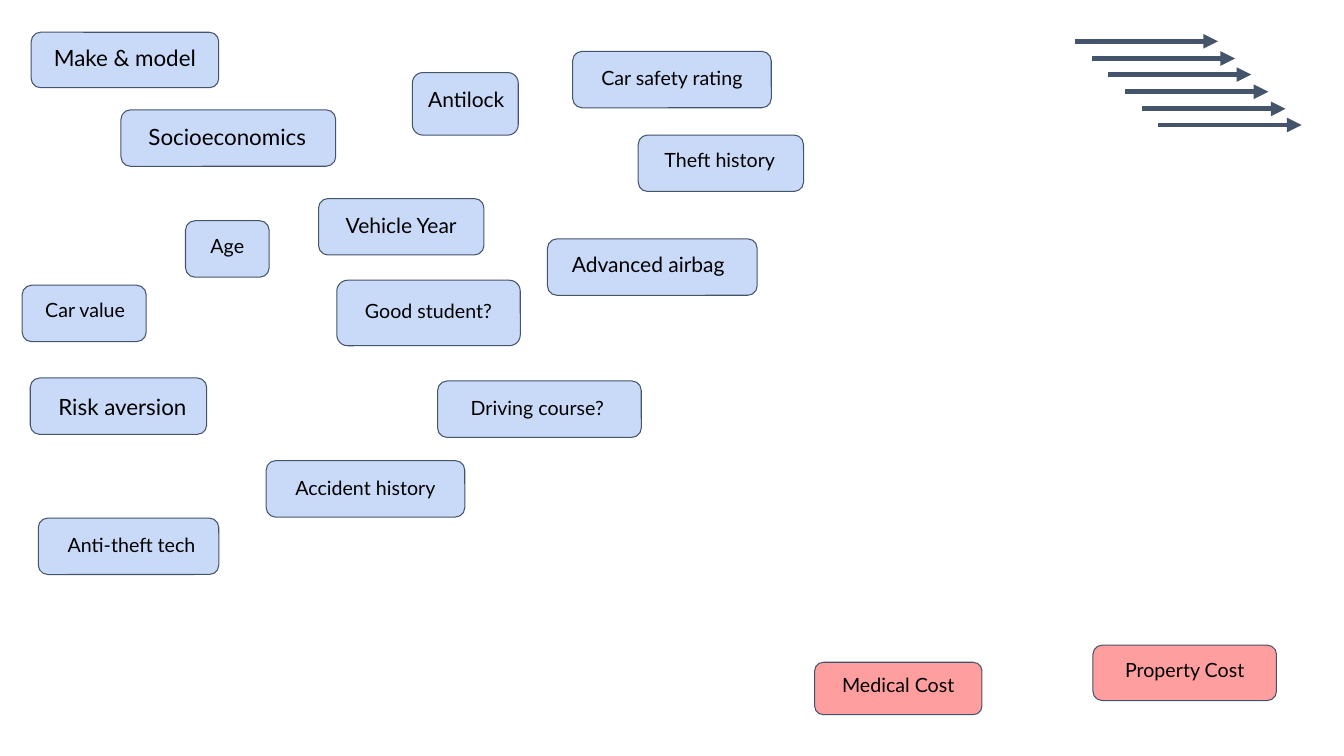
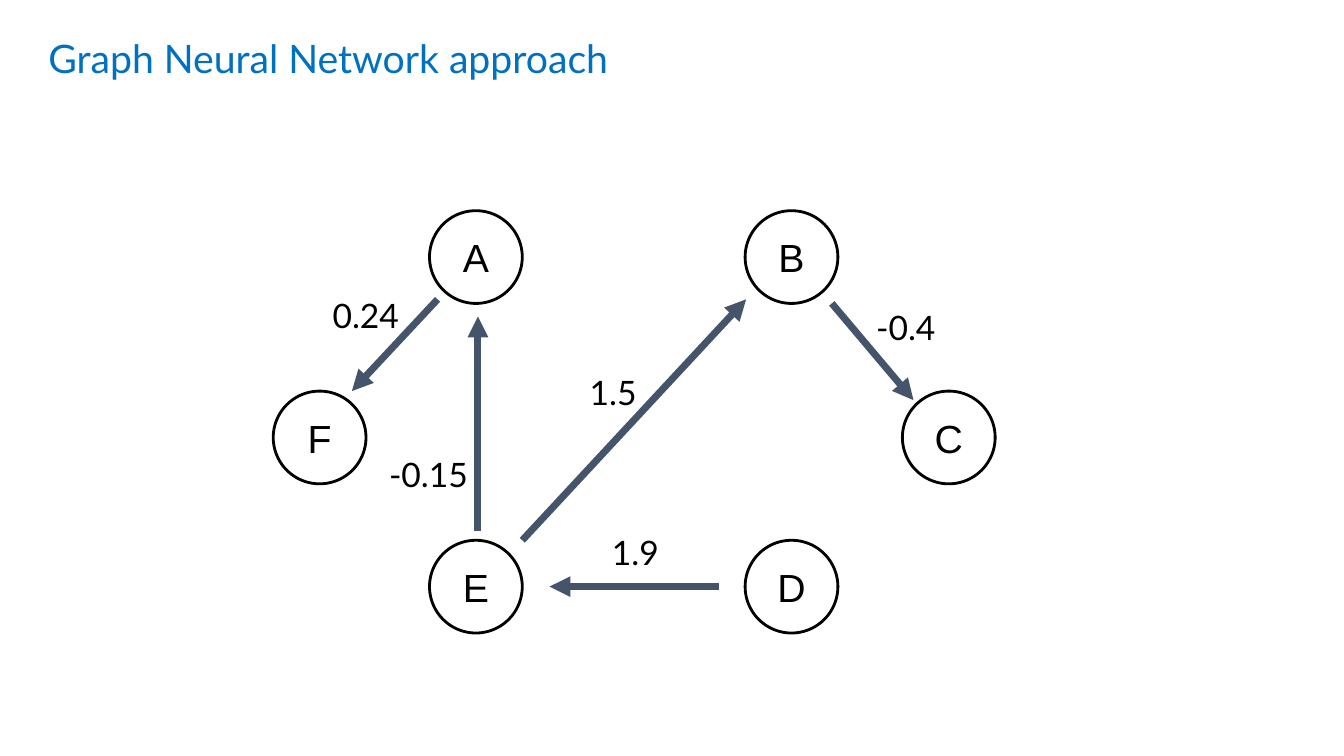
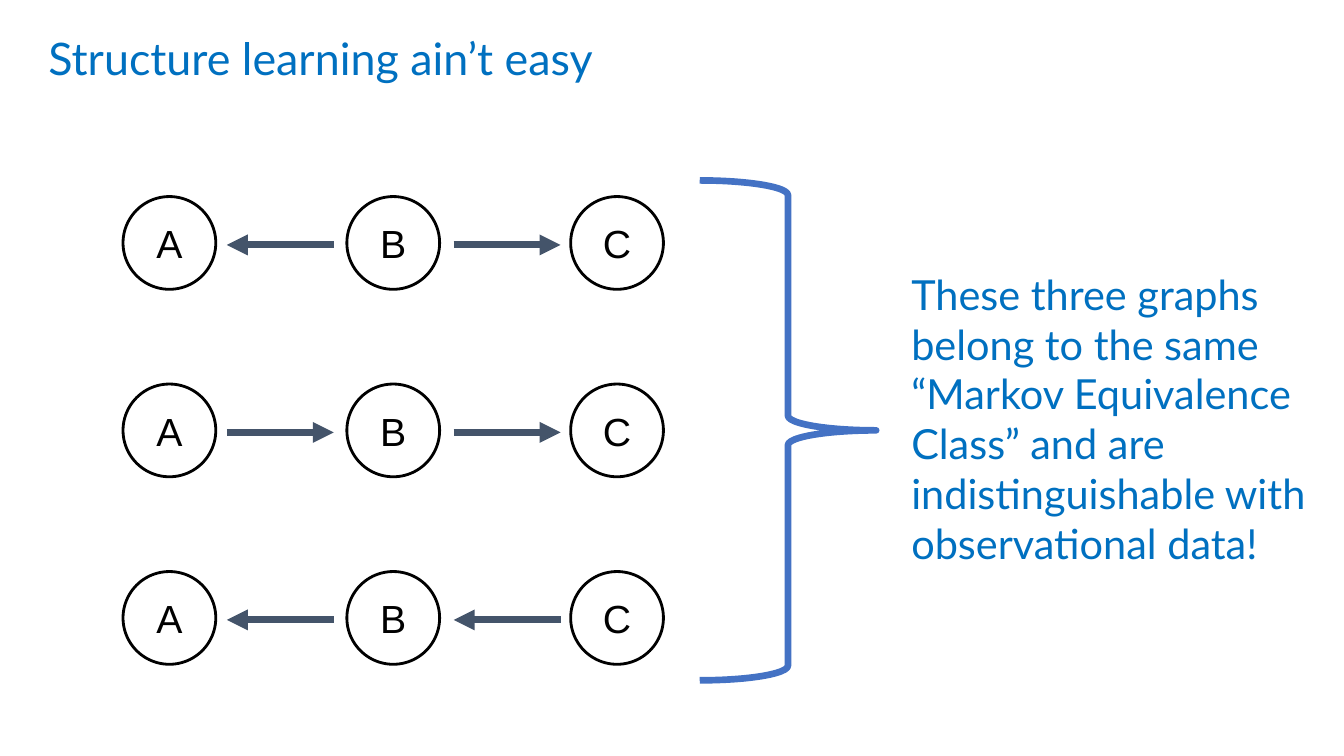
from dataclasses import dataclass

from lxml import etree
from pptx import Presentation
from pptx import util as u
from pptx.dml.color import RGBColor
from pptx.enum import shapes, text
from pptx.oxml import ns

PX = 9144  # EMU per px, 100 px to the inch
COLORS = {
    "feature": "C9DAF8",
    "cost": "FF0000",
    "slate": "44546A",
    "title": "0070C0",
    "brace": "4472C4",
    "ink": "000000",
}
COST_ALPHA = 38
NODE = 92
BLANK, TITLE_ONLY = 6, 5


@dataclass
class Chip:
    label: str
    left: int
    top: int
    width: int
    height: int = 56
    size: int = 14
    dx: int = 0  # label shift from the chip's centre
    dy: int = 0  # label shift from its usual top
    kind: str = "feature"


@dataclass
class Node:
    label: str
    left: int
    top: int


@dataclass
class Arrow:
    x1: int
    y1: int
    x2: int
    y2: int
    weight: float = 5


@dataclass
class EdgeWeight:
    label: str
    left: int
    top: int
    width: int = 95


CHIPS = [
    Chip("Age", 184, 219, 83),
    Chip("Socioeconomics", 120, 109, 213, size=16, dx=-1),
    Chip("Good student?", 334, 278, 182, 65, dy=5),
    Chip("Vehicle Year", 316, 197, 164, size=15, dy=1),
    Chip("Make & model", 31, 32, 186, 55, size=16, dy=-1),
    Chip("Accident history", 264, 457, 197, dy=2),
    Chip("Driving course?", 434, 378, 202, dx=-2, dy=2),
    Chip("Antilock", 409, 72, 105, 62, size=15, dx=1, dy=1),
    Chip("Advanced airbag", 543, 237, 208, size=15, dx=-4),
    Chip("Medical Cost", 808, 657, 166, 52, dy=-2, kind="cost"),
    Chip("Property Cost", 1084, 640, 182, 55, kind="cost"),
    Chip("Car value", 22, 283, 123, dx=1),
    Chip("Risk aversion", 30, 375, 175, size=16, dx=4, dy=2),
    Chip("Anti-theft tech", 38, 514, 179, dx=3, dy=2),
    Chip("Theft history", 633, 134, 164, dx=-1),
    Chip("Car safety rating", 568, 51, 197, dy=2),
]
NETWORK_NODES = [
    Node("A", 426, 209), Node("B", 739, 209), Node("C", 895, 388),
    Node("D", 739, 536), Node("F", 271, 388), Node("E", 426, 536),
]
NETWORK_ARROWS = [
    Arrow(713, 582, 545, 582), Arrow(825, 301, 906, 397),
    Arrow(434, 297, 349, 388), Arrow(518, 536, 740, 297),
    Arrow(474, 527, 474, 314),
]
EDGE_WEIGHTS = [
    EdgeWeight("0.24", 320, 292), EdgeWeight("-0.15", 376, 450, 115),
    EdgeWeight("1.5", 575, 369), EdgeWeight("1.9", 597, 527),
    EdgeWeight("-0.4", 859, 304),
]
# Direction of the A-B and B-C arrows in each row
CHAINS = ["<>", ">>", "<<"]


def px(*lengths: int) -> list:
    return [u.Emu(length * PX) for length in lengths]


def rgb(name: str) -> RGBColor:
    return RGBColor.from_string(COLORS[name])


def style_text(para, size: float, color: str = "ink", face: str = "Lato") -> None:
    para.font.size = u.Pt(size)
    para.font.name = face
    para.font.color.rgb = rgb(color)


def add_outline(page, preset, left: int, top: int, width: int, height: int,
                color: str, weight: float):
    """Add an unfilled, shadowless preset shape."""
    shape = page.shapes.add_shape(preset, *px(left, top, width, height))
    shape.shadow.inherit = False
    shape.fill.background()
    shape.line.color.rgb = rgb(color)
    shape.line.width = u.Pt(weight)
    return shape


def add_chip(page, chip: Chip) -> None:
    shape = add_outline(page, shapes.MSO_SHAPE.ROUNDED_RECTANGLE, chip.left,
                        chip.top, chip.width, chip.height, "slate", 0.75)
    shape.fill.solid()
    shape.fill.fore_color.rgb = rgb(chip.kind)
    if chip.kind == "cost":
        color = shape.fill._xPr.find(".//" + ns.qn("a:srgbClr"))
        etree.SubElement(color, ns.qn("a:alpha"), val=str(COST_ALPHA * 1000))
    frame = shape.text_frame
    frame.word_wrap = True
    frame.vertical_anchor = text.MSO_ANCHOR.TOP
    frame.margin_left, frame.margin_right, frame.margin_top, frame.margin_bottom = px(
        max(0, 2 * chip.dx), max(0, -2 * chip.dx), 10 + chip.dy, 0)
    para = frame.paragraphs[0]
    para.text = chip.label
    para.alignment = text.PP_ALIGN.CENTER
    style_text(para, chip.size)


def add_node(page, node: Node) -> None:
    circle = add_outline(page, shapes.MSO_SHAPE.OVAL, node.left, node.top,
                         NODE, NODE, "ink", 2)
    frame = circle.text_frame
    frame.margin_left = frame.margin_right = frame.margin_top = frame.margin_bottom = 0
    frame.vertical_anchor = text.MSO_ANCHOR.MIDDLE
    para = frame.paragraphs[0]
    para.text = node.label
    para.alignment = text.PP_ALIGN.CENTER
    style_text(para, 28, face="Arial")


def add_arrow(page, arrow: Arrow) -> None:
    line = page.shapes.add_connector(
        shapes.MSO_CONNECTOR.STRAIGHT,
        *px(arrow.x1, arrow.y1, arrow.x2, arrow.y2))
    line.line.color.rgb = rgb("slate")
    line.line.width = u.Pt(arrow.weight)
    outline = line.line._get_or_add_ln()
    etree.SubElement(outline, ns.qn("a:tailEnd"), type="triangle")
    etree.SubElement(line._element.spPr, ns.qn("a:effectLst"))


def add_text(page, words: str, left: int, top: int, width: int, height: int,
             size: float, color: str = "ink"):
    box = page.shapes.add_textbox(*px(left, top, width, height))
    box.text_frame.word_wrap = True
    para = box.text_frame.paragraphs[0]
    para.text = words
    style_text(para, size, color)
    return para


def add_edge_weight(page, label: EdgeWeight) -> None:
    para = add_text(page, label.label, label.left, label.top, label.width, 53, 24)
    para.line_spacing = 0.9
    para.space_before = u.Pt(10)


def add_titled_page(deck, words: str, size: int):
    page = deck.slides.add_slide(deck.slide_layouts[TITLE_ONLY])
    title = page.shapes.title
    title.left, title.top, title.width, title.height = px(38, 19, 1150, 83)
    frame = title.text_frame
    frame.auto_size = text.MSO_AUTO_SIZE.NONE
    frame.vertical_anchor = text.MSO_ANCHOR.MIDDLE
    para = frame.paragraphs[0]
    para.text = words
    para.alignment = text.PP_ALIGN.LEFT
    para.line_spacing = 0.9
    style_text(para, size, "title")
    return page


def build_factors(deck) -> None:
    page = deck.slides.add_slide(deck.slide_layouts[BLANK])
    for chip in CHIPS:
        add_chip(page, chip)
    # Staircase of spare arrows
    for step in range(6):
        shift = round(step * 50 / 3)
        add_arrow(page, Arrow(1066 + shift, 41 + shift, 1208 + shift, 41 + shift, 3.5))


def build_network(deck) -> None:
    page = add_titled_page(deck, "Graph Neural Network approach", 28)
    for node in NETWORK_NODES:
        add_node(page, node)
    for arrow in NETWORK_ARROWS:
        add_arrow(page, arrow)
    for label in EDGE_WEIGHTS:
        add_edge_weight(page, label)


def build_equivalence(deck) -> None:
    page = add_titled_page(deck, "Structure learning ain’t easy", 32)
    # Three chains of three nodes
    for row, directions in enumerate(CHAINS):
        top = 195 + 186 * row
        for column, label in enumerate("ABC"):
            add_node(page, Node(label, 122 + 222 * column, top))
        for gap, direction in enumerate(directions):
            start, end = 225 + 225 * gap, 331 + 225 * gap
            if direction == "<":
                start, end = end, start
            add_arrow(page, Arrow(start, top + 48, end, top + 48))
    # Brace and conclusion
    add_outline(page, shapes.MSO_SHAPE.RIGHT_BRACE, 694, 179, 175, 496, "brace", 4.75)
    add_text(page, "These three graphs belong to the same “Markov Equivalence Class” "
             "and are indistinguishable with observational data!",
             894, 262, 426, 382, 29.6, "title")


def main() -> None:
    deck = Presentation()
    deck.slide_width, deck.slide_height = px(1333, 750)
    build_factors(deck)
    build_network(deck)
    build_equivalence(deck)
    deck.save("out.pptx")


if __name__ == "__main__":
    main()
